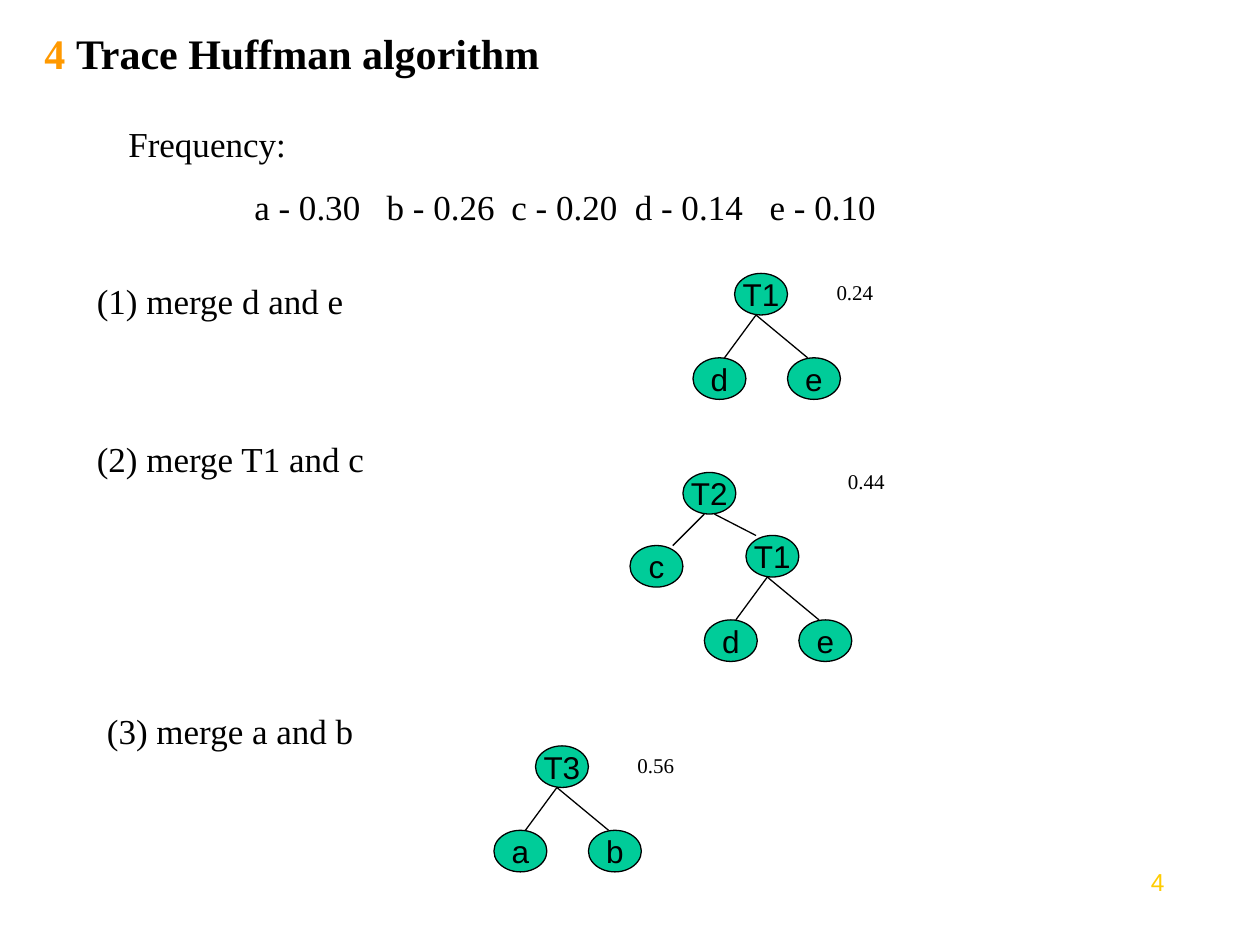
from dataclasses import dataclass

from lxml import etree
from pptx import Presentation
from pptx.dml.color import RGBColor
from pptx.enum import shapes, text
from pptx.oxml import ns
from pptx.util import Inches, Pt


@dataclass(frozen=True)
class Theme:
    """Colours, fonts and type sizes of the slide."""
    ink: str = "000000"
    accent: str = "FF9900"
    page: str = "FFCC00"
    node: str = "00CC99"
    serif: str = "Times New Roman"
    sans: str = "Arial"
    title_size: float = 24
    body_size: float = 20
    node_size: float = 18
    page_size: float = 14
    weight_size: float = 12
    line_width: float = 0.74


THEME = Theme()
NODE_W, NODE_H = 0.42, 0.33


def style(run, size, font=THEME.serif, colour=THEME.ink, bold=False):
    """Format one run."""
    run.font.size = Pt(size)
    run.font.name = font
    run.font.bold = bold
    run.font.color.rgb = RGBColor.from_string(colour)


def add_label(parent, box, words, size, font=THEME.serif, colour=THEME.ink,
              align=text.PP_ALIGN.LEFT, before=0):
    """Place a wrapping text box and return its frame."""
    frame = parent.add_textbox(*map(Inches, box)).text_frame
    frame.word_wrap = True
    frame.text = words
    for paragraph in frame.paragraphs:
        paragraph.alignment = align
        paragraph.space_before = Pt(before)
        for run in paragraph.runs:
            style(run, size, font, colour)
    return frame


def add_node(parent, x, y, name):
    """Draw one tree node with its top left corner at x, y."""
    node = parent.add_shape(shapes.MSO_SHAPE.OVAL, Inches(x), Inches(y),
                            Inches(NODE_W), Inches(NODE_H))
    node.shadow.inherit = False
    node.fill.solid()
    node.fill.fore_color.rgb = RGBColor.from_string(THEME.node)
    node.line.color.rgb = RGBColor.from_string(THEME.ink)
    node.line.width = Pt(THEME.line_width)
    frame = node.text_frame
    frame.word_wrap = False
    frame.vertical_anchor = text.MSO_ANCHOR.MIDDLE
    frame.text = name
    frame.paragraphs[0].alignment = text.PP_ALIGN.CENTER
    style(frame.paragraphs[0].runs[0], THEME.node_size, THEME.sans)


def add_edge(parent, x1, y1, x2, y2):
    """Draw a plain line between a node and its child."""
    edge = parent.add_connector(shapes.MSO_CONNECTOR.STRAIGHT,
                                *map(Inches, (x1, y1, x2, y2)))
    edge.line.color.rgb = RGBColor.from_string(THEME.ink)
    edge.line.width = Pt(THEME.line_width)
    etree.SubElement(edge._element.spPr, ns.qn("a:effectLst"))


def add_pair(parent, x, y, root, left, right):
    """Draw a root at x, y with two leaves below it."""
    add_node(parent, x, y, root)
    for name, leaf_dx, edge_dx in ((left, -0.33, -0.08), (right, 0.42, 0.58)):
        add_node(parent, x + leaf_dx, y + 0.67, name)
        add_edge(parent, x + 0.17, y + NODE_H, x + edge_dx, y + 0.67)


def add_weight(parent, x, y, weight):
    """Write the weight of a merged tree."""
    add_label(parent, (x, y, 0.75, 0.3), weight, THEME.weight_size,
              align=text.PP_ALIGN.CENTER, before=7.5)


def add_merged_pair(slide, x, y, names, weight):
    """Draw a tree of two leaves with its weight on the right."""
    tree = slide.shapes.add_group_shape().shapes
    add_pair(tree, x, y, *names)
    add_weight(tree, x + 0.58, y, weight)


def add_nested_tree(slide, x, y, root, leaf, names, weight):
    """Draw a root at x, y over a leaf and an earlier pair."""
    tree = slide.shapes.add_group_shape().shapes
    add_pair(tree, x + 0.5, y + 0.5, *names)
    add_weight(tree, x + 1.08, y - 0.08, weight)
    add_node(tree, x - 0.42, y + 0.58, leaf)
    add_node(tree, x, y, root)
    add_edge(tree, x + 0.17, y + NODE_H, x - 0.08, y + 0.58)
    add_edge(tree, x + 0.25, y + NODE_H, x + 0.58, y + 0.5)


def add_title(slide, box):
    """Fill the title placeholder, with its number in the accent colour."""
    title = slide.shapes.title
    title.left, title.top, title.width, title.height = map(Inches, box)
    frame = title.text_frame
    frame.auto_size = text.MSO_AUTO_SIZE.NONE
    frame.vertical_anchor = text.MSO_ANCHOR.MIDDLE
    heading = frame.paragraphs[0]
    heading.alignment = text.PP_ALIGN.LEFT
    for words, colour in ((" 4 ", THEME.accent),
                          ("Trace Huffman algorithm", THEME.ink)):
        run = heading.add_run()
        run.text = words
        style(run, THEME.title_size, colour=colour, bold=True)


def add_frequencies(slide, box):
    """List the symbol frequencies on tab stops under their heading."""
    symbols = ("a - 0.30", "b - 0.26", "c - 0.20", "d - 0.14", "e - 0.10")
    frame = add_label(slide.shapes, box,
                      "Frequency:\n\t" + "\t".join(symbols),
                      THEME.body_size, before=12.5)
    properties = frame.paragraphs[1]._p.get_or_add_pPr()
    stops = etree.SubElement(properties, ns.qn("a:tabLst"))
    for position in (1, 2.05, 3.04, 4.02, 5.09):
        etree.SubElement(stops, ns.qn("a:tab"),
                         pos=str(Inches(position)), algn="l")


def build():
    """Build the slide and save it."""
    deck = Presentation()
    deck.slide_width, deck.slide_height = Inches(10), Inches(7.5)
    slide = deck.slides.add_slide(deck.slide_layouts[5])

    add_label(slide.shapes, (8.67, 6.83, 0.67, 0.52), "4", THEME.page_size,
              THEME.sans, THEME.page, text.PP_ALIGN.RIGHT)
    add_title(slide, (0.17, 0.17, 8.5, 0.5))
    add_frequencies(slide, (0.92, 0.92, 6.17, 0.94))

    steps = ((0.67, 2.17, "(1) merge d and e"),
             (0.67, 3.42, "(2) merge T1 and c"),
             (0.75, 5.58, "(3) merge a and b"))
    for x, y, step in steps:
        add_label(slide.shapes, (x, y, 2.67, 0.44), step, THEME.body_size,
                  before=12.5)

    first_pair = ("T1", "d", "e")
    add_merged_pair(slide, 5.83, 2.17, first_pair, "0.24")
    add_nested_tree(slide, 5.42, 3.75, "T2", "c", first_pair, "0.44")
    add_merged_pair(slide, 4.25, 5.92, ("T3", "a", "b"), "0.56")
    deck.save("out.pptx")


build()
